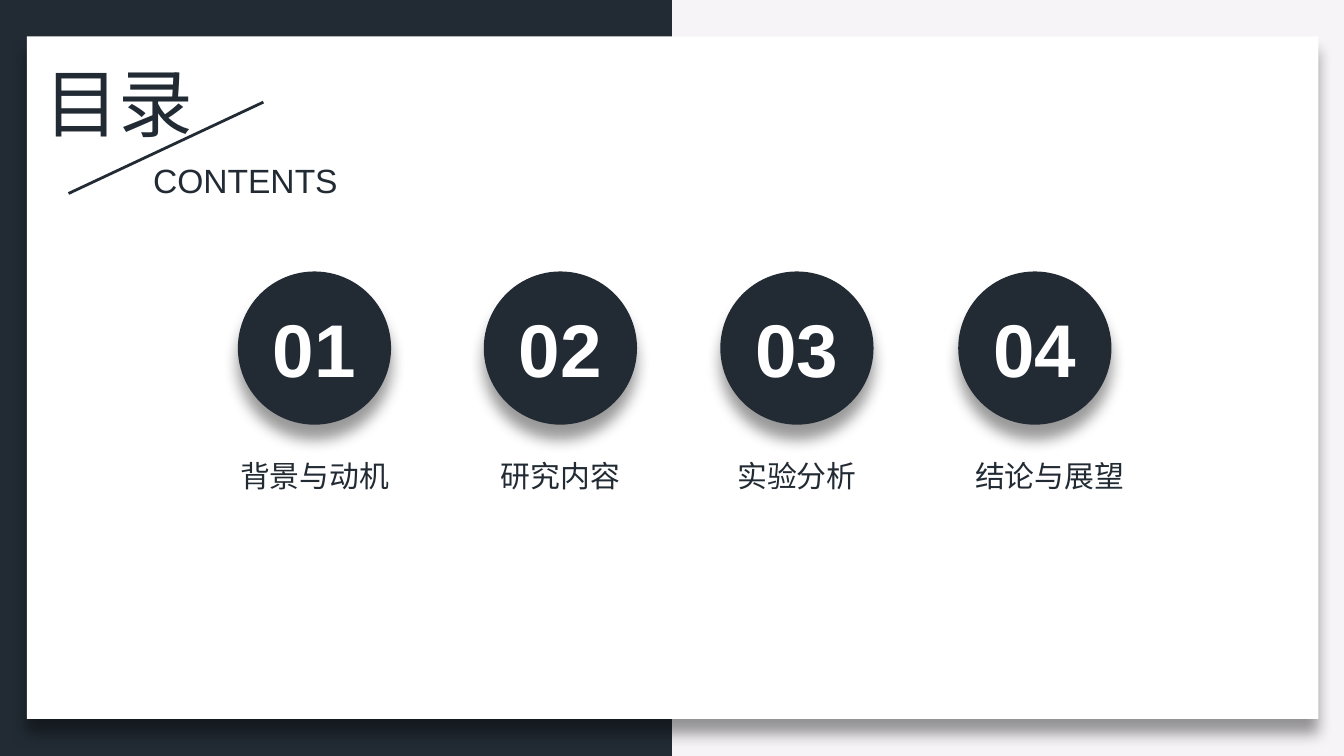
"""Build a contents slide with four numbered topics."""
from dataclasses import dataclass

from lxml.etree import SubElement
from pptx import Presentation
from pptx.dml.color import RGBColor as Rgb
from pptx.enum.shapes import MSO_CONNECTOR as Connector, MSO_SHAPE as Shape
from pptx.enum.text import MSO_ANCHOR as Anchor, MSO_AUTO_SIZE as AutoSize, PP_ALIGN as Align
from pptx.oxml import parse_xml
from pptx.oxml.ns import qn
from pptx.util import Inches, Pt

WIDTH = 10
HEIGHT = WIDTH * 9 / 16
DRAWING = "http://schemas.openxmlformats.org/drawingml/2006/main"


@dataclass(frozen=True)
class Theme:
    """Colours, fonts and type sizes of the slide."""
    dark: Rgb = Rgb.from_string("222B34")
    light: Rgb = Rgb.from_string("F6F4F7")
    white: Rgb = Rgb.from_string("FFFFFF")
    title_font: str = "Calibri"
    latin_font: str = "Arial"
    label_font: str = "Noto Sans CJK SC"
    large: int = 40
    medium: int = 18
    small: int = 16


THEME = Theme()
DIAMETER = 1.14
CIRCLE_TOP = 2.02
NUMBER_SIZE = 0.83, 0.77
LABEL_TOP, LABEL_HEIGHT = 3.36, 0.37
GLYPH = THEME.small / 72
TOPICS = (
    ("01", "背景与动机", 2.34, 2.34),
    ("02", "研究内容", 4.17, 4.17),
    ("03", "实验分析", 5.93, 5.93),
    ("04", "结论与展望", 7.7, 7.81),
)


def add_shadow(shape):
    """Give a shape a soft shadow falling straight down."""
    shape.element.spPr.append(parse_xml(
        f'<a:effectLst xmlns:a="{DRAWING}">'
        f'<a:outerShdw blurRad="{Pt(8)}" dist="{Pt(8)}" dir="5400000" algn="t" rotWithShape="0">'
        '<a:srgbClr val="000000"><a:alpha val="40000"/></a:srgbClr>'
        '</a:outerShdw></a:effectLst>'))


def add_solid(page, kind, area, color, shadow=False):
    """Add a filled preset shape without an outline."""
    shape = page.shapes.add_shape(kind, *map(Inches, area))
    shape.fill.solid()
    shape.fill.fore_color.rgb = color
    shape.line.fill.background()
    if shadow:
        add_shadow(shape)
    else:
        shape.shadow.inherit = False


def write(box, text, font, size, color=THEME.dark, align=Align.LEFT, bold=False):
    """Write one formatted run into a box that grows with its text."""
    frame = box.text_frame
    frame.word_wrap = False
    frame.auto_size = AutoSize.SHAPE_TO_FIT_TEXT
    frame.vertical_anchor = Anchor.TOP
    para = frame.paragraphs[0]
    para.alignment = align
    span = para.add_run()
    span.text = text
    span.font.name, span.font.size, span.font.bold = font, Pt(size), bold
    span.font.color.rgb = color
    for properties in box.element.iter(qn("a:rPr")):
        SubElement(properties, qn("a:ea"), typeface=font)


def add_text(page, area, *args, **options):
    """Add a text box holding one run."""
    write(page.shapes.add_textbox(*map(Inches, area)), *args, **options)


def add_title(page, area, text):
    """Place the title placeholder in front of the backdrop."""
    title = page.shapes.title
    page.shapes.element.append(title.element)
    title.left, title.top, title.width, title.height = map(Inches, area)
    write(title, text, THEME.title_font, THEME.large)


def add_line(page, start, end):
    """Add a thin straight line."""
    line = page.shapes.add_connector(Connector.STRAIGHT, *map(Inches, start + end))
    line.line.color.rgb = THEME.dark
    line.line.width = Pt(1.5)
    SubElement(line.element.spPr, qn("a:effectLst"))


def add_backdrop(page):
    """Split the background in two and lay a white card over it."""
    page.background.fill.solid()
    page.background.fill.fore_color.rgb = THEME.light
    add_solid(page, Shape.RECTANGLE, (0, 0, WIDTH / 2, HEIGHT), THEME.dark)
    add_solid(page, Shape.RECTANGLE, (0.2, 0.27, 9.61, 5.08), THEME.white, shadow=True)


def add_topic(page, number, label, center, label_center):
    """Add a numbered circle with its label below."""
    add_solid(page, Shape.OVAL, (center - DIAMETER / 2, CIRCLE_TOP, DIAMETER, DIAMETER),
              THEME.dark, shadow=True)
    width, height = NUMBER_SIZE
    top = CIRCLE_TOP + (DIAMETER - height) / 2
    add_text(page, (center - width / 2, top, width, height), number, THEME.latin_font,
             THEME.large, color=THEME.white, align=Align.CENTER, bold=True)
    width = GLYPH * (len(label) + 1)
    add_text(page, (label_center - width / 2, LABEL_TOP, width, LABEL_HEIGHT), label,
             THEME.label_font, THEME.small, align=Align.CENTER)


def main():
    """Build and save the deck."""
    deck = Presentation()
    deck.slide_width, deck.slide_height = Inches(WIDTH), Inches(HEIGHT)
    page = deck.slides.add_slide(deck.slide_layouts.get_by_name("Title Only"))
    add_backdrop(page)
    add_title(page, (0.23, 0.37, 1.32, 0.77), "目录")
    add_line(page, (1.96, 0.76), (0.51, 1.44))
    add_text(page, (1.04, 1.14, 1.59, 0.4), "CONTENTS", THEME.latin_font, THEME.medium)
    for topic in TOPICS:
        add_topic(page, *topic)
    deck.save("out.pptx")


if __name__ == "__main__":
    main()
